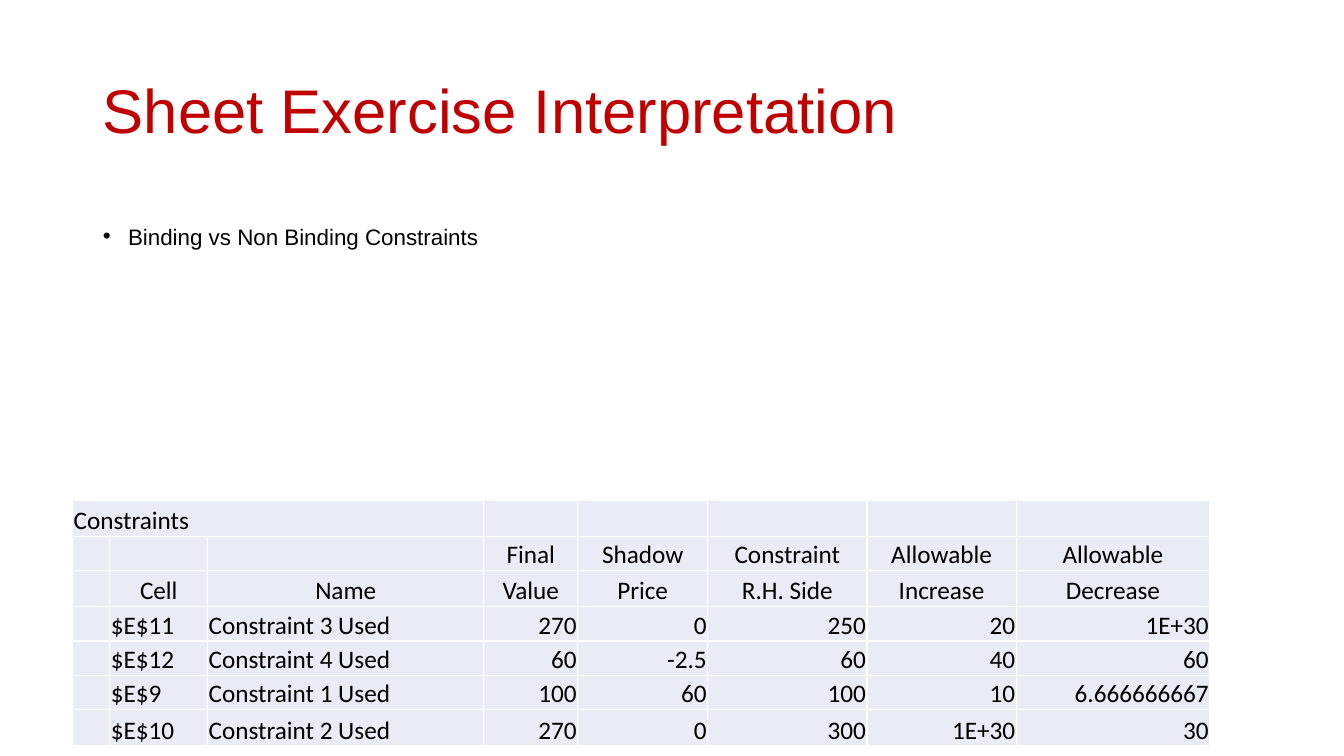
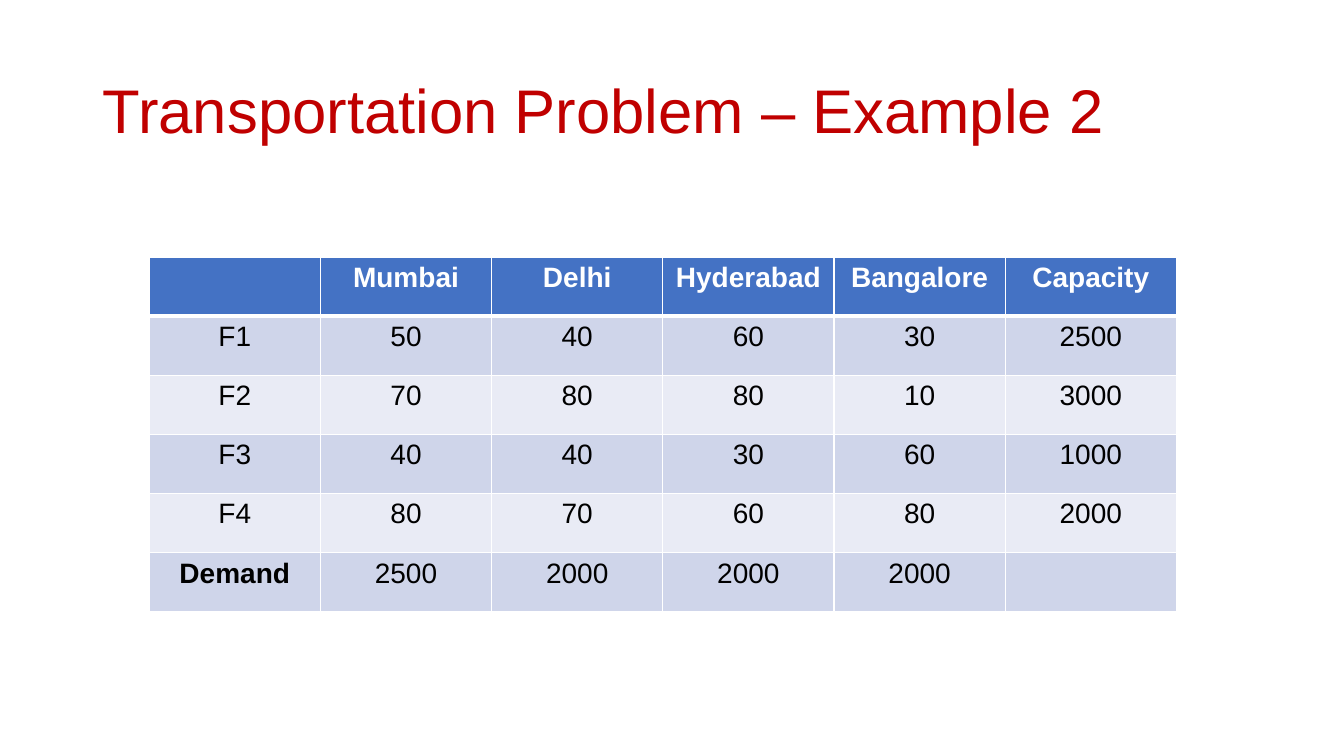
from lxml.etree import SubElement
from pptx import Presentation
from pptx.dml.color import RGBColor
from pptx.enum.text import MSO_ANCHOR, MSO_AUTO_SIZE, PP_ALIGN
from pptx.oxml.ns import qn
from pptx.util import Inches, Pt

COLORS = {
    "title": "C00000",
    "text": "000000",
    "white": "FFFFFF",
    "header": "4472C4",
    "band": "CFD5EA",
    "light": "E9EBF5",
}
TITLE_BOX = (0.92, 0.4, 11.5, 1.45)
BODY_BOX = (0.92, 2, 11.5, 4.76)
TITLE_AND_CONTENT, TITLE_ONLY = 1, 5

CONSTRAINT_WIDTHS = [0.37, 0.97, 2.74, 0.93, 1.29, 1.58, 1.48, 1.92]
CONSTRAINT_HEIGHTS = [0.36, 0.34, 0.36, 0.34, 0.34, 0.34, 0.36]
CONSTRAINT_HEADER_ROWS = 3
CONSTRAINTS = [
    ["Constraints", "", "", "", "", "", "", ""],
    ["", "", "", "Final", "Shadow", "Constraint", "Allowable", "Allowable"],
    ["", "Cell", "Name", "Value", "Price", "R.H. Side", "Increase", "Decrease"],
    ["", "$E$11", "Constraint 3 Used", "270", "0", "250", "20", "1E+30"],
    ["", "$E$12", "Constraint 4 Used", "60", "-2.5", "60", "40", "60"],
    ["", "$E$9", "Constraint 1 Used", "100", "60", "100", "10", "6.666666667"],
    ["", "$E$10", "Constraint 2 Used", "270", "0", "300", "1E+30", "30"],
]
SHIPPING = [
    ["", "Mumbai", "Delhi", "Hyderabad", "Bangalore", "Capacity"],
    ["F1", "50", "40", "60", "30", "2500"],
    ["F2", "70", "80", "80", "10", "3000"],
    ["F3", "40", "40", "30", "60", "1000"],
    ["F4", "80", "70", "60", "80", "2000"],
    ["Demand", "2500", "2000", "2000", "2000", ""],
]


def rgb(color):
    return RGBColor.from_string(COLORS[color])


def style_font(paragraph, name, size, color="text", bold=False):
    font = paragraph.font
    font.name, font.size, font.bold = name, Pt(size), bold
    font.color.rgb = rgb(color)


def fill_placeholder(placeholder, box, text, anchor):
    """Place a placeholder, write its text and return its paragraph."""
    placeholder.left, placeholder.top, placeholder.width, placeholder.height = map(Inches, box)
    frame = placeholder.text_frame
    frame.text = text
    frame.auto_size = MSO_AUTO_SIZE.NONE
    frame.vertical_anchor = anchor
    paragraph = frame.paragraphs[0]
    paragraph.alignment = PP_ALIGN.LEFT
    return paragraph


def add_titled_slide(prs, layout, title):
    slide = prs.slides.add_slide(prs.slide_layouts[layout])
    heading = fill_placeholder(slide.shapes.title, TITLE_BOX, title, MSO_ANCHOR.MIDDLE)
    heading.line_spacing = 0.9
    style_font(heading, "Arial", 44, "title")
    return slide


def add_bullet(slide, box, text):
    bullet = fill_placeholder(slide.placeholders[1], box, text, MSO_ANCHOR.TOP)
    bullet.line_spacing = 1.6
    bullet.space_before = Pt(10)
    style_font(bullet, "Arial", 16)
    properties = bullet._p.get_or_add_pPr()
    properties.set("marL", str(Inches(0.25)))
    properties.set("indent", str(Inches(-0.25)))


def set_borders(cell, top=1, bottom=1):
    """Draw white cell borders; must run before the cell is filled."""
    properties = cell._tc.get_or_add_tcPr()
    for side, points in (("L", 1), ("R", 1), ("T", top), ("B", bottom)):
        line = SubElement(properties, qn(f"a:ln{side}"), w=str(Pt(points)))
        solid = SubElement(line, qn("a:solidFill"))
        SubElement(solid, qn("a:srgbClr"), val=COLORS["white"])


def fill_cell(cell, color):
    cell.fill.solid()
    cell.fill.fore_color.rgb = rgb(color)


def add_grid(slide, left, top, widths, heights, rows):
    """Add a table with its text and return it without a banded style."""
    table = slide.shapes.add_table(
        len(rows), len(widths), Inches(left), Inches(top),
        Inches(sum(widths)), Inches(sum(heights))).table
    table.first_row = table.horz_banding = False
    for column, width in zip(table.columns, widths):
        column.width = Inches(width)
    for row, height, values in zip(table.rows, heights, rows):
        row.height = Inches(height)
        for cell, value in zip(row.cells, values):
            cell.text = value
    return table


def add_constraint_table(slide, left, top):
    table = add_grid(slide, left, top, CONSTRAINT_WIDTHS, CONSTRAINT_HEIGHTS, CONSTRAINTS)
    for r, row in enumerate(table.rows):
        for c, cell in enumerate(row.cells):
            set_borders(cell)
            fill_cell(cell, "light")
            cell.margin_left = cell.margin_right = cell.margin_top = Inches(0.01)
            cell.margin_bottom = 0
            cell.vertical_anchor = MSO_ANCHOR.BOTTOM
            paragraph = cell.text_frame.paragraphs[0]
            style_font(paragraph, "Calibri", 18)
            if 0 < r < CONSTRAINT_HEADER_ROWS:
                paragraph.alignment = PP_ALIGN.CENTER
            elif r and c > 2:
                paragraph.alignment = PP_ALIGN.RIGHT
    table.cell(0, 0).merge(table.cell(0, 2))


def add_shipping_table(slide, left, top, width, height):
    column_count, row_count = len(SHIPPING[0]), len(SHIPPING)
    table = add_grid(slide, left, top, [width / column_count] * column_count,
                     [height / row_count] * row_count, SHIPPING)
    for r, row in enumerate(table.rows):
        is_header = r == 0
        background = "header" if is_header else "band" if r % 2 else "light"
        for cell in row.cells:
            set_borders(cell, top=3 if r == 1 else 1, bottom=3 if is_header else 1)
            fill_cell(cell, background)
            paragraph = cell.text_frame.paragraphs[0]
            paragraph.alignment = PP_ALIGN.CENTER
            style_font(paragraph, "Arial", 20, "white" if is_header else "text",
                       bold=is_header or cell.text == "Demand")


def build_interpretation_slide(prs):
    slide = add_titled_slide(prs, TITLE_AND_CONTENT, "Sheet Exercise Interpretation")
    add_bullet(slide, BODY_BOX, "Binding vs Non Binding Constraints")
    add_constraint_table(slide, 0.72, 4.96)


def build_transportation_slide(prs):
    slide = add_titled_slide(prs, TITLE_ONLY, "Transportation Problem – Example 2")
    add_shipping_table(slide, 1.48, 2.55, 10.19, 3.52)


def main():
    prs = Presentation()
    prs.slide_width, prs.slide_height = Inches(13.33), Inches(7.5)
    build_interpretation_slide(prs)
    build_transportation_slide(prs)
    prs.save("out.pptx")


if __name__ == "__main__":
    main()
